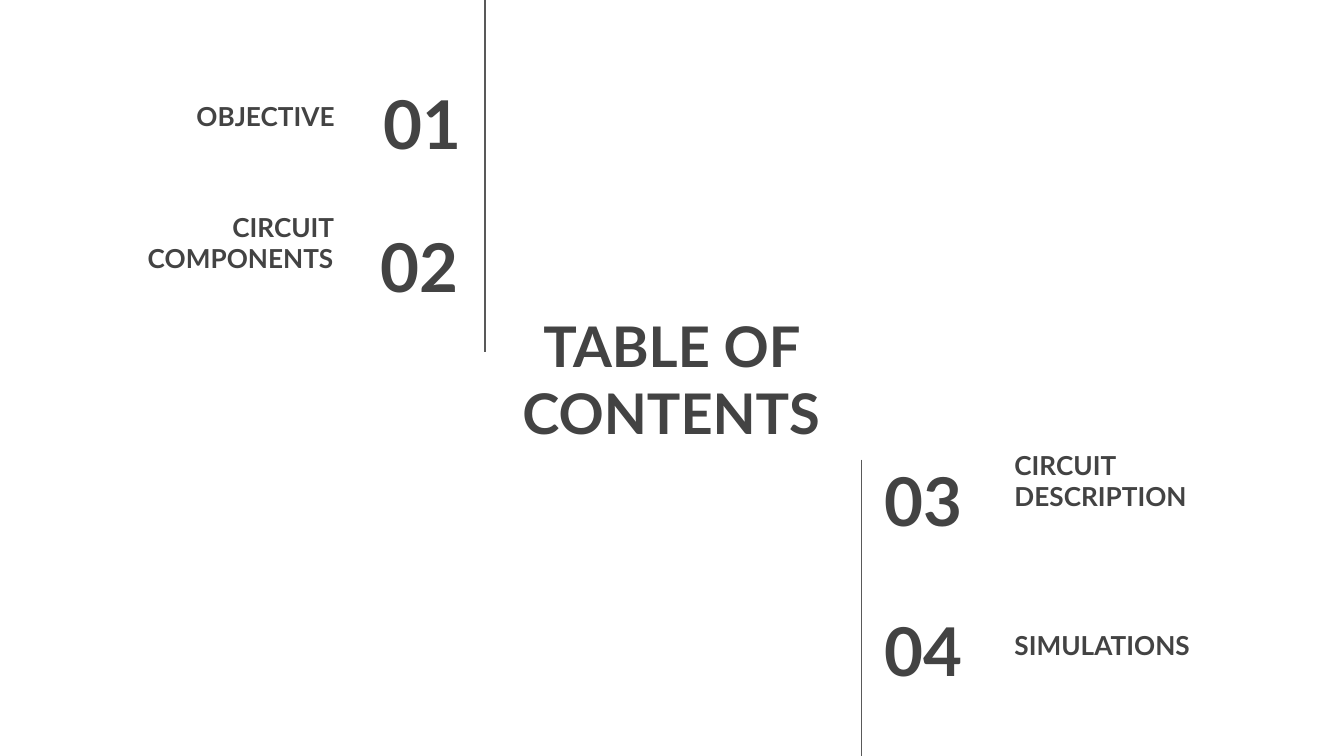
from lxml import etree
from pptx import Presentation
from pptx.dml.color import RGBColor
from pptx.enum import shapes, text
from pptx.oxml.ns import qn
from pptx.util import Inches, Pt

LEFT, MID, RIGHT = text.PP_ALIGN.LEFT, text.PP_ALIGN.CENTER, text.PP_ALIGN.RIGHT
CENTER, BASE = text.MSO_ANCHOR.MIDDLE, text.MSO_ANCHOR.BOTTOM

# Widescreen page, 16 by 9
deck = Presentation()
deck.slide_width = Inches(10)
deck.slide_height = Inches(10) * 9 // 16
slide = deck.slides.add_slide(deck.slide_layouts[6])


def color(code):
    return RGBColor.from_string(code)


def write(words, at, size=14, align=LEFT, anchor=CENTER):
    box = slide.shapes.add_textbox(*map(Inches, at))
    frame = box.text_frame
    frame.word_wrap = True
    frame.vertical_anchor = anchor
    frame.margin_left = frame.margin_right = Inches(0.1)
    frame.margin_top = frame.margin_bottom = Inches(0.1)
    para = frame.paragraphs[0]
    para.alignment = align
    run = para.add_run()
    run.text = words
    run.font.name, run.font.size, run.font.bold = "Lato", Pt(size), True
    run.font.color.rgb = color("434343")


# Title
write("TABLE OF CONTENTS", (3.7, 2.3, 2.59, 1.03), size=30, align=MID)

# Entries: number and its box, label and its box, alignment
items = [
    ("01", (2.32, 0.6, 1.21, 0.63), "OBJECTIVE", (0.43, 0.22, 2.16, 0.86), RIGHT),
    ("02", (2.3, 1.66, 1.21, 0.63), "CIRCUIT COMPONENTS", (0.28, 1.28, 2.3, 0.86), RIGHT),
    ("03", (6.48, 3.4, 1.17, 0.63), "CIRCUIT DESCRIPTION", (7.45, 3.06, 2.27, 0.85), LEFT),
    ("04", (6.48, 4.52, 1.17, 0.63), "SIMULATIONS", (7.45, 4.17, 2.16, 0.85), LEFT),
]
for number, spot, label, place, align in items:
    write(number, spot, size=36, align=align)
    write(label, place, align=align, anchor=BASE)

# Vertical rules beside the two groups
for x, top, end in [(3.61, 0, 2.62), (6.41, 3.42, 5.64)]:
    rule = slide.shapes.add_connector(
        shapes.MSO_CONNECTOR.STRAIGHT, Inches(x), Inches(top), Inches(x), Inches(end))
    rule.line.color.rgb = color("595959")
    rule.line.width = Pt(0.75)
    etree.SubElement(rule._element.spPr, qn("a:effectLst"))

deck.save("out.pptx")
